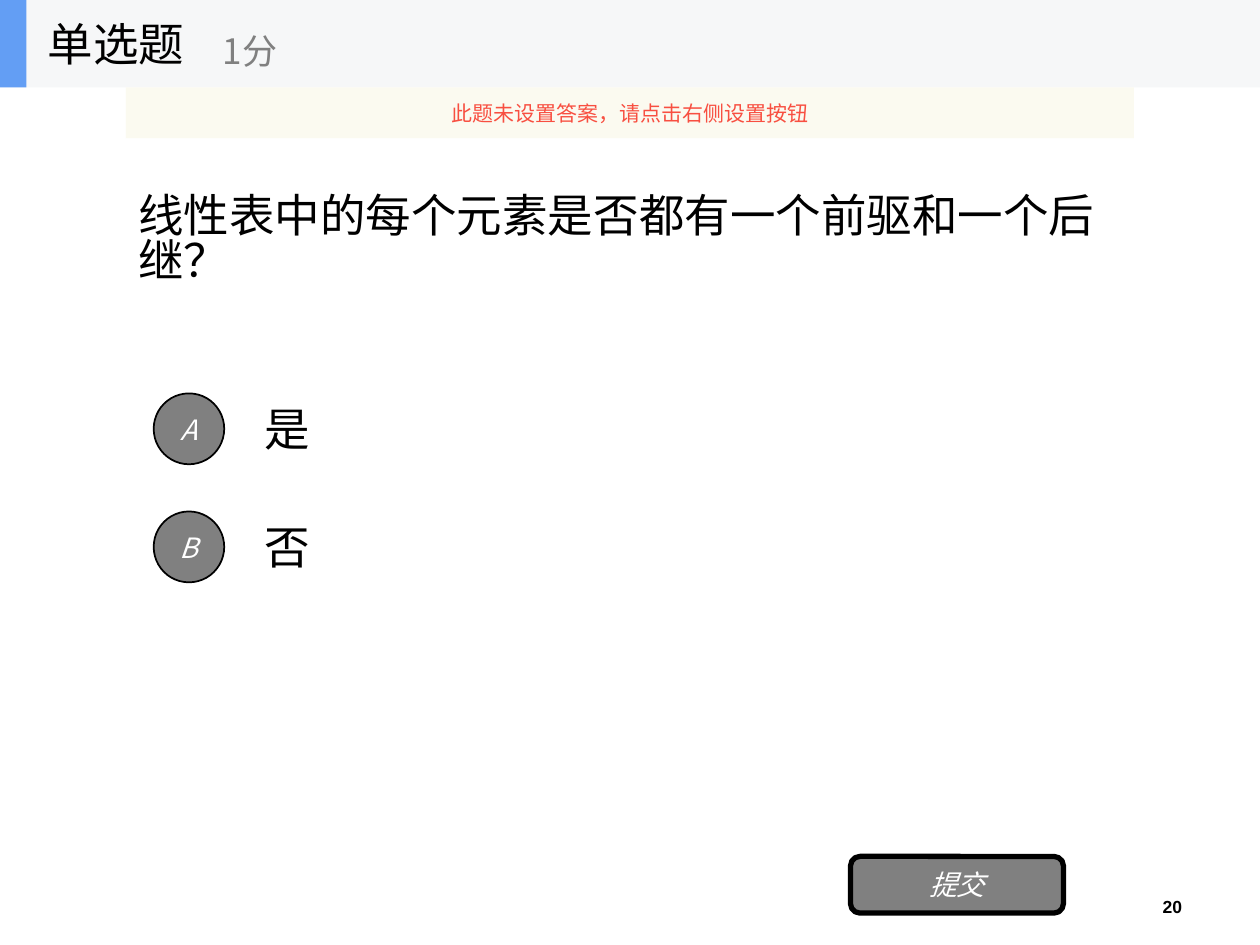
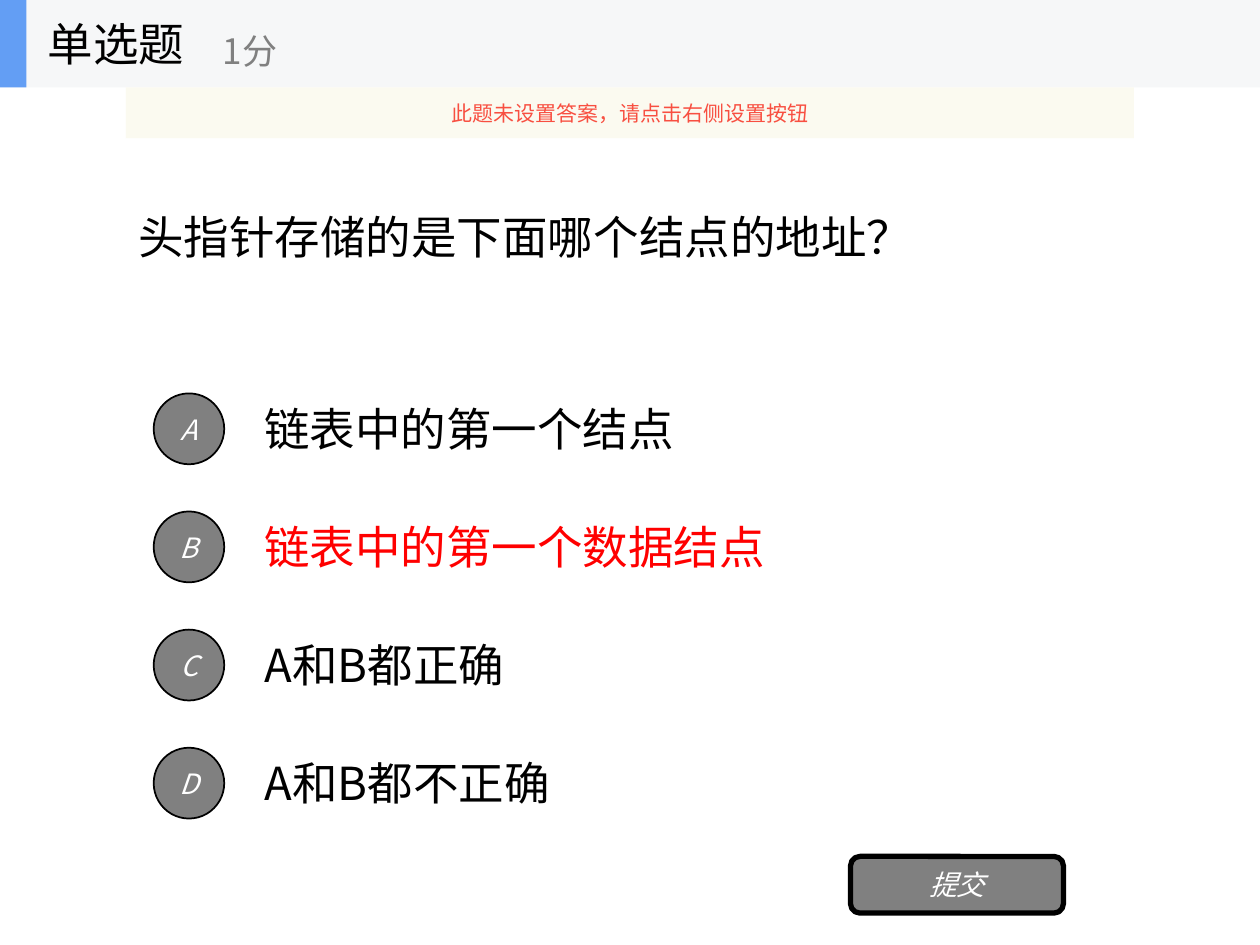
import pptx
import pptx.util
import pptx.dml.color
import pptx.oxml
import pptx.oxml.ns
from pptx.enum.shapes import MSO_SHAPE
from pptx.enum.text import MSO_ANCHOR, MSO_AUTO_SIZE, PP_ALIGN

COLS, ROWS = 10, 8
BLACK, WHITE, GREY, RED = "000000", "FFFFFF", "808080", "FF0000"
BAND, BLUE, CREAM, CORAL = "F6F7F8", "639EF4", "FBFAEF", "F84F41"
HEAD = 0.74  # rows taken by the title band


def paint(target, hue):
    """Set a fill or a line to one solid colour."""
    target.solid()
    target.fore_color.rgb = pptx.dml.color.RGBColor.from_string(hue)


def node(tag, attrs):
    """Make one drawing element, such as a:alpha."""
    space = pptx.oxml.ns.nsdecls("a")
    return pptx.oxml.parse_xml(f"<{tag} {space} {attrs}/>")


class Quiz:
    def __init__(self):
        self.deck = pptx.Presentation()
        self.deck.slide_width = pptx.util.Inches(10)
        self.deck.slide_height = pptx.util.Inches(7.5)
        self.font = "Noto Sans CJK SC"
        self.slide = None

    def area(self, left, top, wide, high):
        """Turn grid columns and rows into lengths."""
        col = self.deck.slide_width / COLS
        row = self.deck.slide_height / ROWS
        return [round(n) for n in (left * col, top * row, wide * col, high * row)]

    def label(self, shape, words, size, hue=BLACK, align=PP_ALIGN.LEFT,
              anchor=MSO_ANCHOR.MIDDLE, font=None, bold=False, italic=False):
        frame = shape.text_frame
        frame.word_wrap = True
        frame.auto_size = MSO_AUTO_SIZE.NONE
        frame.vertical_anchor = anchor
        para = frame.paragraphs[0]
        para.alignment = align
        run = para.add_run()
        run.text = words
        face = run.font
        face.name = font or self.font
        face.size = pptx.util.Pt(size)
        face.bold, face.italic = bold, italic
        paint(face.fill, hue)
        latin = shape.element.find(".//" + pptx.oxml.ns.qn("a:latin"))
        latin.addnext(node("a:ea", f'typeface="{face.name}"'))
        return frame

    def text(self, place, words, size, **style):
        box = self.slide.shapes.add_textbox(*self.area(*place))
        return self.label(box, words, size, **style)

    def block(self, kind, place, fill, edge=0):
        shape = self.slide.shapes.add_shape(kind, *self.area(*place))
        shape.shadow.inherit = False
        paint(shape.fill, fill)
        if edge:
            paint(shape.line.fill, BLACK)
            shape.line.width = pptx.util.Pt(edge)
        else:
            shape.line.fill.background()
        return shape

    def button(self, kind, place, words, edge):
        shape = self.block(kind, place, GREY, edge)
        frame = self.label(shape, words, 16, WHITE, PP_ALIGN.CENTER, italic=True)
        frame.margin_left = frame.margin_right = 0

    def ask(self, words):
        frame = self.text((1, HEAD, 8, 2.5), words, 26)
        frame.paragraphs[0].line_spacing = 0.82
        frame.margin_top = pptx.util.Inches(0.15)

    def choice(self, index, words, hue):
        self.text((2, 3.25 + index, 7, 0.75), words, 26, hue=hue)
        self.button(MSO_SHAPE.OVAL, (1.22, 3.33 + index, 0.56, 0.6),
                    "ABCD"[index], 1)

    def header(self, name, score):
        self.block(MSO_SHAPE.RECTANGLE, (0, 0, COLS, HEAD), BAND)
        self.block(MSO_SHAPE.RECTANGLE, (0, 0, 0.21, HEAD), BLUE)
        title = self.slide.shapes.title
        title.left, title.top, title.width, title.height = self.area(
            0.28, 0, 2.08, HEAD)
        self.label(title, name, 26)
        # The title must lie above the band.
        self.slide.shapes.element.append(title.element)
        self.text((1.67, 0.13, 2.5, 0.6), score, 20, hue=GREY)

    def hint(self, words):
        strip = self.block(MSO_SHAPE.RECTANGLE, (1, HEAD, 8, 0.43), CREAM)
        tint = strip.element.find(".//" + pptx.oxml.ns.qn("a:srgbClr"))
        tint.append(node("a:alpha", 'val="90000"'))
        self.label(strip, words, 12, CORAL, PP_ALIGN.CENTER)

    def page(self, number):
        self.text((7.91, 7.53, 1.57, 0.23), number, 10, align=PP_ALIGN.RIGHT,
                  anchor=MSO_ANCHOR.TOP, font="Arial", bold=True)

    def add(self, question, choices, right=None, number=None):
        """Build one question slide; the choice at index right is red."""
        self.slide = self.deck.slides.add_slide(self.deck.slide_layouts[5])
        if number:
            self.page(number)
        self.ask(question)
        for index, words in enumerate(choices):
            self.choice(index, words, RED if index == right else BLACK)
        self.button(MSO_SHAPE.ROUNDED_RECTANGLE, (6.75, 7.25, 1.69, 0.48),
                    "提交", 3)
        self.header("单选题", "1分")
        self.hint("此题未设置答案，请点击右侧设置按钮")


def main():
    quiz = Quiz()
    quiz.add("线性表中的每个元素是否都有一个前驱和一个后继？", ["是", "否"],
             number="20")
    quiz.add("头指针存储的是下面哪个结点的地址？",
             ["链表中的第一个结点", "链表中的第一个数据结点",
              "A和B都正确", "A和B都不正确"], right=1)
    quiz.deck.save("out.pptx")


if __name__ == "__main__":
    main()
